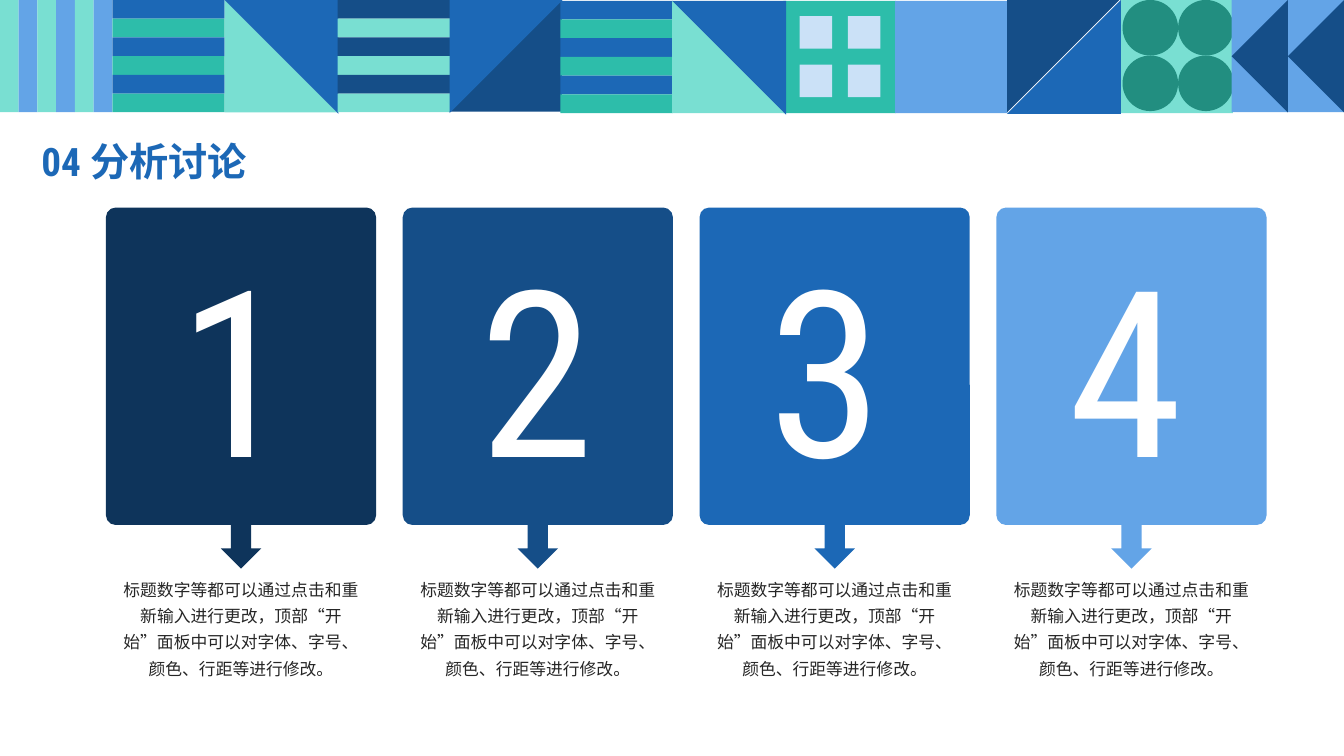
import pptx
import pptx.util
import pptx.dml.color
import pptx.enum.shapes
import pptx.enum.text
from lxml import etree

Cm, Pt = pptx.util.Cm, pptx.util.Pt
KIND = pptx.enum.shapes.MSO_SHAPE
ALIGN = pptx.enum.text.PP_ALIGN
ANCHOR = pptx.enum.text.MSO_ANCHOR
FIT = pptx.enum.text.MSO_AUTO_SIZE

COLORS = {
    "navy": "0E345B", "dark": "154E88", "blue": "1C68B6", "sky": "63A4E7",
    "pale": "CBE1F7", "mint": "79DFD2", "teal": "2DBDAA", "green": "228E80",
    "white": "FFFFFF", "ink": "262626",
}
LATIN, HAN = "Roboto Condensed", "Noto Sans CJK SC"
TILE = 2.83
BAR = TILE / 6
BODY = ("标题数字等都可以通过点击和重新输入进行更改，顶部“开始”面板中"
        "可以对字体、字号、颜色、行距等进行修改。")
# Card colour and sideways shift of its digit
CARDS = [("navy", -0.14), ("dark", -0.02), ("blue", -0.22), ("sky", -0.13)]


def rgb(name):
    return pptx.dml.color.RGBColor.from_string(COLORS[name])


def add_form(slide, kind, color, x, y, w, h, turn=0):
    form = slide.shapes.add_shape(kind, Cm(x), Cm(y), Cm(w), Cm(h))
    form.shadow.inherit = False
    form.fill.solid()
    form.fill.fore_color.rgb = rgb(color)
    form.line.fill.background()
    form.rotation = turn
    return form


def style(frame, font, size, color, align, bold=False):
    """Format every run, for Latin and Chinese letters alike."""
    for para in frame.paragraphs:
        para.alignment = align
        for run in para.runs:
            run.font.name = font
            run.font.size = Pt(size)
            run.font.bold = bold
            run.font.color.rgb = rgb(color)
            props = run.font._element
            east = etree.SubElement(props, pptx.oxml.ns.qn("a:ea"))
            east.set("typeface", HAN)


def add_text(slide, text, x, y, w, h, font, size, color, wrap):
    box = slide.shapes.add_textbox(Cm(x), Cm(y), Cm(w), Cm(h))
    frame = box.text_frame
    frame.text = text
    frame.word_wrap = wrap
    frame.auto_size = FIT.SHAPE_TO_FIT_TEXT
    style(frame, font, size, color, ALIGN.CENTER)
    return frame


def add_rows(slide, x, y, odd, even):
    """Six level bars in two colours."""
    for i in range(6):
        add_form(slide, KIND.RECTANGLE, (odd, even)[i % 2],
                 x, y + i * BAR, TILE, BAR)


def add_bars(slide, odd, even):
    """Six upright bars in two colours, at the left edge."""
    for i in range(6):
        add_form(slide, KIND.RECTANGLE, (odd, even)[i % 2],
                 i * BAR, 0, BAR, TILE)


def add_halves(slide, x, y, back, front, turn):
    """Two right triangles; the front one is turned half round."""
    add_form(slide, KIND.RIGHT_TRIANGLE, back, x, y, TILE, TILE, turn)
    add_form(slide, KIND.RIGHT_TRIANGLE, front, x, y, 2.87, 2.87,
             (turn + 180) % 360)


def add_four(slide, kind, color, x, y, size, step):
    for i in range(4):
        add_form(slide, kind, color, x + i % 2 * step, y + i // 2 * step,
                 size, size)


def add_band(slide):
    add_rows(slide, 2.83, 0, "blue", "teal")
    add_halves(slide, 5.66, 0, "mint", "blue", 0)
    add_bars(slide, "mint", "sky")
    add_rows(slide, 8.51, 0, "dark", "mint")
    add_form(slide, KIND.RECTANGLE, "teal", 19.74, 0.02, TILE, TILE)
    add_four(slide, KIND.RECTANGLE, "pale", 20.15, 0.41, 0.82, 1.22)
    add_form(slide, KIND.RECTANGLE, "sky", 22.56, 0.02, TILE, TILE)
    add_form(slide, KIND.RECTANGLE, "mint", 28.24, 0, TILE, 2.85)
    add_four(slide, KIND.OVAL, "green", 28.29, 0, 1.4, 1.4)
    add_halves(slide, 25.38, 0, "dark", "blue", 90)
    add_halves(slide, 11.33, -0.02, "dark", "blue", 270)
    add_form(slide, KIND.RECTANGLE, "sky", 31.04, 0, TILE, TILE)
    for x in (30.33, 31.75):
        add_form(slide, KIND.ISOSCELES_TRIANGLE, "dark",
                 x, 0.71, TILE, TILE / 2, 270)
    add_rows(slide, 14.12, 0.02, "blue", "teal")
    add_halves(slide, 16.94, 0.02, "mint", "blue", 0)


def set_title(slide, text):
    title = slide.shapes.title
    title.left, title.top = Cm(0.79), Cm(3.33)
    title.width, title.height = Cm(9.75), Cm(1.6)
    frame = title.text_frame
    frame.text = text
    frame.word_wrap = True
    frame.vertical_anchor = ANCHOR.MIDDLE
    para = frame.paragraphs[0]
    para.line_spacing = 0.9
    para.space_before = Pt(10)
    style(frame, LATIN, 28, "blue", ALIGN.LEFT, True)


def add_card(slide, index, color, shift):
    left, width = 2.67 + index * 7.48, 6.81
    mid = left + width / 2
    card = add_form(slide, KIND.ROUNDED_RECTANGLE, color,
                    left, 5.23, width, 8)
    card.adjustments[0] = 0.036
    add_form(slide, KIND.DOWN_ARROW, color, mid - 0.51, 12.78, 1.02, 1.55)
    add_text(slide, str(index + 1), mid + shift - 1.74, 5.56, 3.48, 7.34,
             LATIN, 166, "white", False)
    body = add_text(slide, BODY, left, 14.33, width, 2.92,
                    HAN, 12, "ink", True)
    body.paragraphs[0].line_spacing = 1.3


def main():
    deck = pptx.Presentation()
    deck.slide_width, deck.slide_height = Cm(33.87), Cm(19.05)
    slide = deck.slides.add_slide(deck.slide_layouts.get_by_name("Title Only"))
    add_band(slide)
    set_title(slide, "04 分析讨论")
    for index, (color, shift) in enumerate(CARDS):
        add_card(slide, index, color, shift)
    deck.save("out.pptx")


if __name__ == "__main__":
    main()
